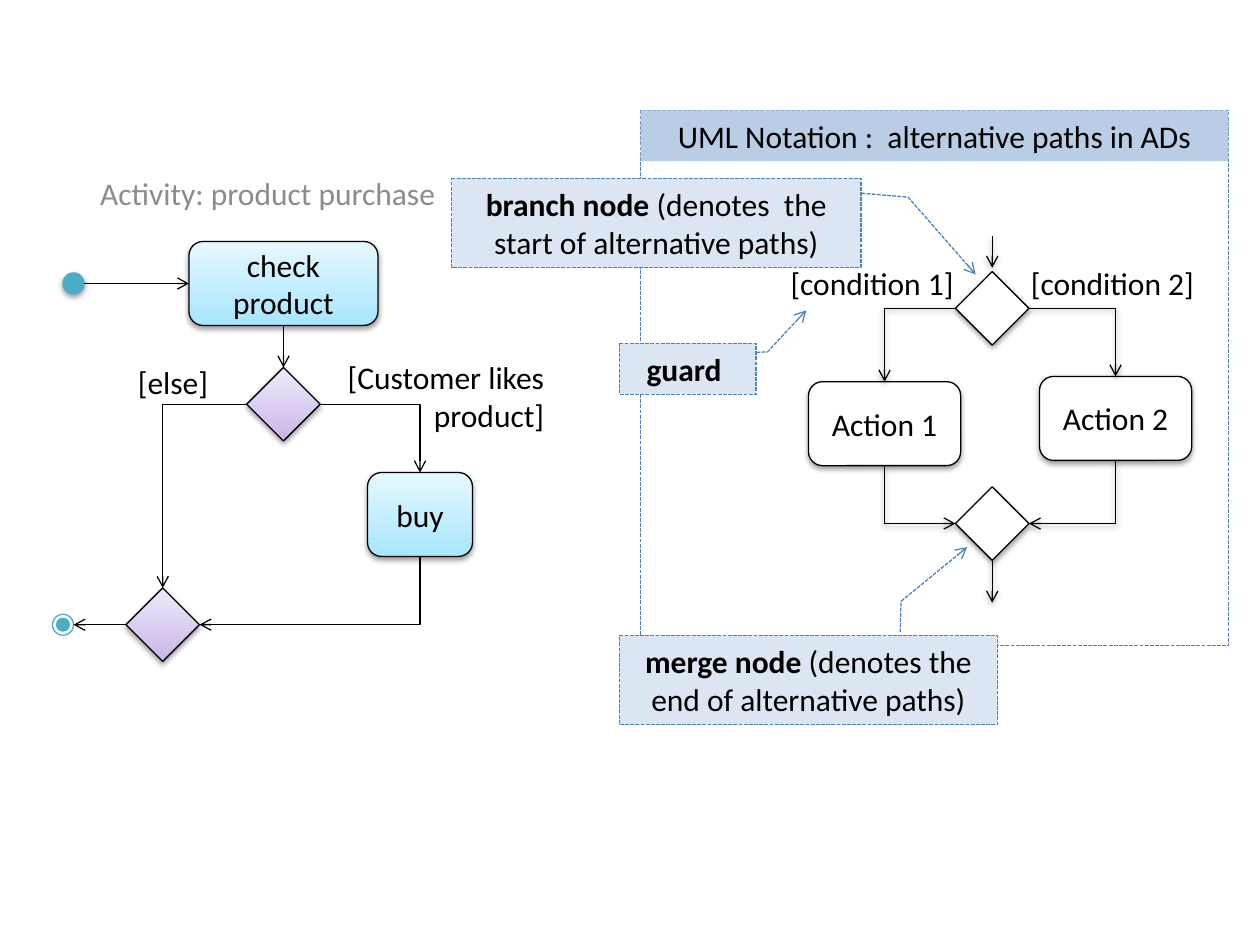
from lxml import etree
from pptx import Presentation
from pptx.dml.color import RGBColor
from pptx.enum.dml import MSO_LINE
from pptx.enum.shapes import MSO_CONNECTOR, MSO_SHAPE
from pptx.enum.text import MSO_ANCHOR, PP_ALIGN
from pptx.oxml.ns import qn
from pptx.util import Inches, Pt

ROUND, DIAMOND = MSO_SHAPE.ROUNDED_RECTANGLE, MSO_SHAPE.FLOWCHART_DECISION
RECT, OVAL, CALLOUT = MSO_SHAPE.RECTANGLE, MSO_SHAPE.OVAL, MSO_SHAPE.LINE_CALLOUT_2
STRAIGHT, ELBOW = MSO_CONNECTOR.STRAIGHT, MSO_CONNECTOR.ELBOW
LEFT, CENTER, RIGHT = PP_ALIGN.LEFT, PP_ALIGN.CENTER, PP_ALIGN.RIGHT
TOP, MIDDLE = MSO_ANCHOR.TOP, MSO_ANCHOR.MIDDLE
SYS_DASH = MSO_LINE.SQUARE_DOT
N, W, S, E = range(4)
SITES = [(0.5, 0), (0, 0.5), (0.5, 1), (1, 0.5)]

THEME = {
    "font": "Calibri", "size": Pt(18), "line": Pt(0.75), "dot_line": Pt(2),
    "ink": "000000", "muted": "8C8C8C", "white": "FFFFFF", "teal": "4BACC6",
    "blue": "4F81BD", "header": "B9CDE5", "note": "DCE6F2",
    "action": ("A7E6FF", "E7F8FF"), "decision": ("C9B5E8", "F0EAF9"),
}

prs = Presentation()
prs.slide_width, prs.slide_height = Inches(10), Inches(7.5)
slide = prs.slides.add_slide(prs.slide_layouts[6])
COL, ROW = prs.slide_width / 120, prs.slide_height / 90


def style_line(s, color, shadow=False, dash=None, arrow=None):
    s.line.color.rgb = RGBColor.from_string(THEME[color])
    s.line.width = THEME["line"]
    if dash:
        s.line.dash_style = dash
    sp = s._element.spPr
    if arrow:
        etree.SubElement(sp.find(qn("a:ln")), qn(f"a:{arrow}"), type="arrow")
    effects = etree.SubElement(sp, qn("a:effectLst"))
    if shadow:
        shade = etree.SubElement(effects, qn("a:outerShdw"), blurRad="40000",
                                 dist="20000", dir="5400000", rotWithShape="0")
        rgb = etree.SubElement(shade, qn("a:srgbClr"), val=THEME["ink"])
        etree.SubElement(rgb, qn("a:alpha"), val="38000")


def write(s, runs, align=CENTER, anchor=MIDDLE, color="ink"):
    tf = s.text_frame
    tf.word_wrap = True
    tf.vertical_anchor = anchor
    p = tf.paragraphs[0]
    p.alignment = align
    for text, bold in runs:
        r = p.add_run()
        r.text = text
        r.font.name, r.font.size, r.font.bold = THEME["font"], THEME["size"], bold
        r.font.color.rgb = RGBColor.from_string(THEME[color])


panel = slide.shapes.add_shape(RECT, 61 * COL, 10.5 * ROW, 56 * COL, 51 * ROW)
panel.fill.background()
style_line(panel, "blue", dash=SYS_DASH)

header = slide.shapes.add_shape(RECT, 61 * COL, 10.5 * ROW, 56 * COL, 4.85 * ROW)
header.fill.solid()
header.fill.fore_color.rgb = RGBColor.from_string(THEME["header"])
header.line.fill.background()
header.shadow.inherit = False
write(header, [("UML Notation :  alternative paths in ADs", False)])

callouts = [
    (59, 60.5, 36, 8.5, (-0.034, 0.743, -0.381, 0.745, -0.988, 0.92),
     [("merge node ", True), ("(denotes the end of alternative paths)", False)]),
    (43, 17, 39, 8.5, (0.165, 1.001, 0.21, 1.115, 1.076, 1.28),
     [("branch node ", True), ("(denotes  the start of alternative paths)", False)]),
    (59, 32.7, 13, 4.85, (0.179, 1.005, 0.167, 1.085, -0.651, 1.369),
     [("guard ", True)]),
]
for x, y, w, h, leader, runs in callouts:
    s = slide.shapes.add_shape(CALLOUT, x * COL, y * ROW, w * COL, h * ROW)
    for i, value in enumerate(leader):
        s.adjustments[i] = value
    s.fill.solid()
    s.fill.fore_color.rgb = RGBColor.from_string(THEME["note"])
    style_line(s, "blue", dash=SYS_DASH, arrow="tailEnd")
    write(s, runs)

final = slide.shapes.add_group_shape()
nodes = {}
for name, kind, x, y, w, h, fill, line, shadow, text in [
    ("check", ROUND, 18, 23, 18, 8, "action", "ink", True, "check product"),
    ("likes", DIAMOND, 23.5, 35, 7, 7, "decision", "ink", True, ""),
    ("buy", ROUND, 35, 45, 10, 8, "action", "ink", True, "buy"),
    ("join", DIAMOND, 12, 56, 7, 7, "decision", "ink", True, ""),
    ("start", OVAL, 6, 26, 2, 2, "teal", "teal", True, ""),
    ("final ring", OVAL, 5, 58.5, 2, 2, "white", "teal", False, ""),
    ("final dot", OVAL, 5.5, 59, 1, 1, "teal", "teal", False, ""),
    ("branch", DIAMOND, 91, 25.87, 7, 7, "white", "ink", True, ""),
    ("action 1", ROUND, 77, 36.35, 14.5, 8, "white", "ink", True, "Action 1"),
    ("action 2", ROUND, 99, 35.85, 14.5, 8, "white", "ink", True, "Action 2"),
    ("merge", DIAMOND, 91, 46.37, 7, 7, "white", "ink", True, ""),
]:
    shapes = final.shapes if name.startswith("final") else slide.shapes
    s = shapes.add_shape(kind, int(x * COL), int(y * ROW), int(w * COL), int(h * ROW))
    if isinstance(THEME[fill], tuple):
        s.fill.gradient()
        s.fill.gradient_angle = 90
        for stop, color in zip(s.fill.gradient_stops, THEME[fill]):
            stop.color.rgb = RGBColor.from_string(color)
    else:
        s.fill.solid()
        s.fill.fore_color.rgb = RGBColor.from_string(THEME[fill])
    style_line(s, line, shadow)
    if text:
        write(s, [(text, False)])
    nodes[name] = s
nodes["final dot"].line.width = THEME["dot_line"]

for kind, begin, end, arrow, shadow in [
    (STRAIGHT, (8, 27), ("check", W), "tailEnd", False),
    (STRAIGHT, ("check", S), ("likes", N), "tailEnd", False),
    (ELBOW, ("likes", E), ("buy", N), "tailEnd", False),
    (ELBOW, ("likes", W), ("join", N), "tailEnd", False),
    (ELBOW, ("join", E), ("buy", S), "headEnd", False),
    (STRAIGHT, ("join", W), (7, 59.5), "tailEnd", False),
    (STRAIGHT, (94.5, 22.5), (94.5, 25.5), "tailEnd", True),
    (ELBOW, ("branch", W), ("action 1", N), "tailEnd", True),
    (ELBOW, ("branch", E), ("action 2", N), "tailEnd", True),
    (ELBOW, ("merge", W), ("action 1", S), "headEnd", True),
    (ELBOW, ("merge", E), ("action 2", S), "headEnd", True),
    (STRAIGHT, ("merge", S), (94.5, 57.4), "tailEnd", True),
]:
    ends = []
    for x, y in (begin, end):
        if x in nodes:
            s, (across, down) = nodes[x], SITES[y]
            ends += [int(s.left + across * s.width), int(s.top + down * s.height)]
        else:
            ends += [int(x * COL), int(y * ROW)]
    c = slide.shapes.add_connector(kind, *ends)
    if begin[0] in nodes:
        c.begin_connect(nodes[begin[0]], begin[1])
    if end[0] in nodes:
        c.end_connect(nodes[end[0]], end[1])
    if kind == ELBOW:
        c._element.spPr.find(qn("a:prstGeom")).set("prst", "bentConnector2")
    style_line(c, "ink", shadow, arrow=arrow)

for x, y, w, h, text, align, color in [
    (6, 16, 39, 4.85, "Activity: product purchase", CENTER, "muted"),
    (31, 33.5, 22, 8.5, "[Customer likes product]", RIGHT, "ink"),
    (9, 34, 12, 4.85, "[else]", RIGHT, "ink"),
    (73, 24.55, 19, 4.85, "[condition 1]", RIGHT, "ink"),
    (97, 24.55, 18, 4.85, "[condition 2]", LEFT, "ink"),
]:
    s = slide.shapes.add_textbox(int(x * COL), int(y * ROW), int(w * COL), int(h * ROW))
    write(s, [(text, False)], align, TOP, color)

prs.save("out.pptx")
